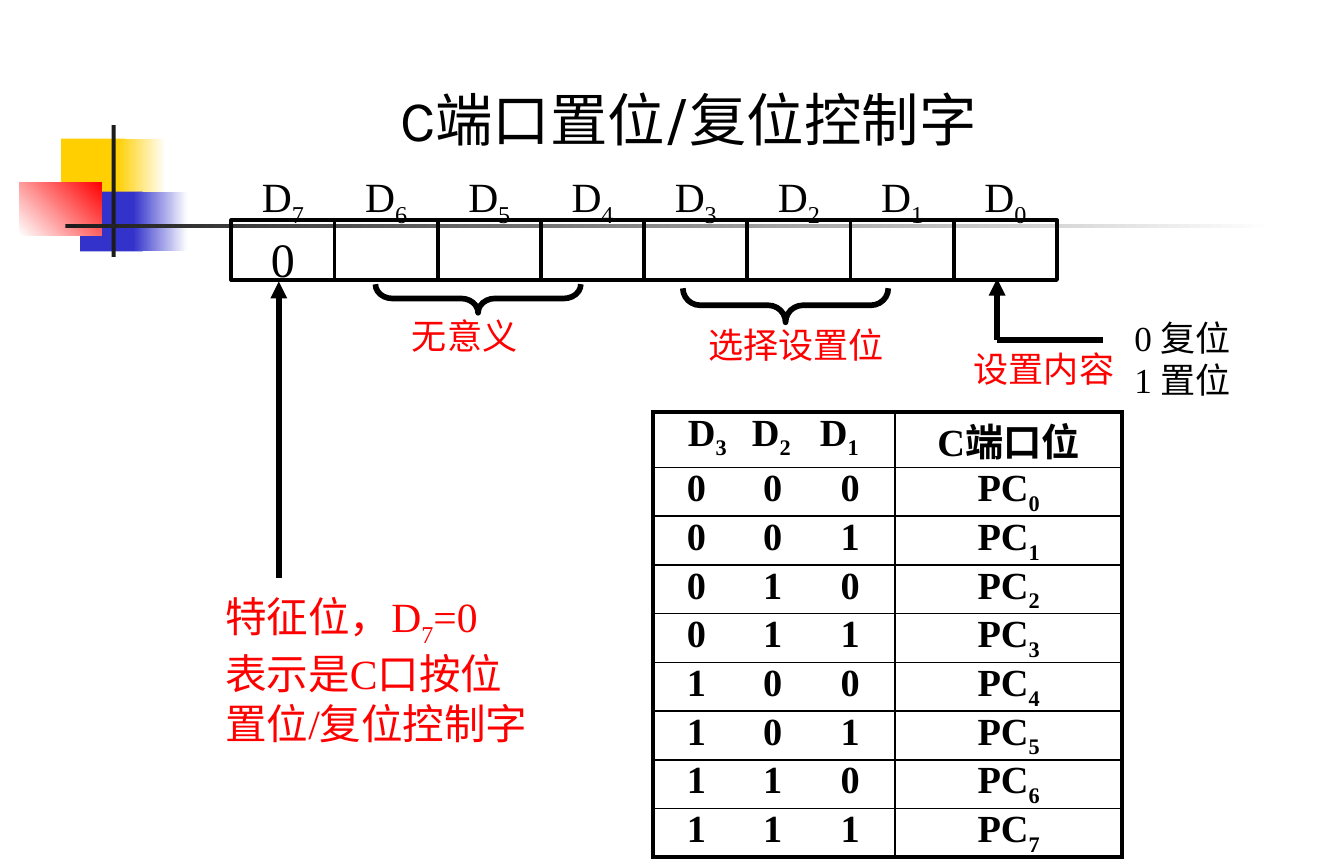
from collections import namedtuple
from dataclasses import dataclass

from lxml.etree import SubElement
from pptx import Presentation
from pptx.dml.color import RGBColor
from pptx.enum.shapes import MSO_CONNECTOR, MSO_SHAPE
from pptx.enum.text import MSO_ANCHOR, MSO_AUTO_SIZE, PP_ALIGN
from pptx.oxml.ns import qn
from pptx.util import Inches, Pt

Box = namedtuple("Box", "left top width height")


@dataclass(frozen=True)
class Theme:
    black: RGBColor = RGBColor.from_string("000000")
    white: RGBColor = RGBColor.from_string("FFFFFF")
    red: RGBColor = RGBColor.from_string("FF0000")
    yellow: RGBColor = RGBColor.from_string("FFCF01")
    blue: RGBColor = RGBColor.from_string("3333CC")
    dark: RGBColor = RGBColor.from_string("1C1C1C")
    heading_font: str = "Karla"
    body_font: str = "Times New Roman"
    title: float = 30.4
    bit_value: float = 25.4
    bit_name: float = 22
    caption: float = 18.6
    table: float = 20.3
    thick: float = 3
    frame: float = 2.25
    bit_frame: float = 2
    grid: float = 1


THEME = Theme()


def set_all(target, values):
    for name, value in values.items():
        setattr(target, name, value)


def place(box):
    return [Inches(length) for length in box]


def write(frame, lines, size, color=THEME.black, align=PP_ALIGN.JUSTIFY,
          font=THEME.body_font, bold=False, spacing=None, tabs=()):
    """Fill a text frame; underscores in a line switch subscript on and off."""
    for index, line in enumerate(lines):
        paragraph = frame.paragraphs[0] if index == 0 else frame.add_paragraph()
        set_all(paragraph, {"alignment": align, "line_spacing": spacing})
        if tabs:
            tab_list = SubElement(paragraph._p.get_or_add_pPr(), qn("a:tabLst"))
            for stop in tabs:
                SubElement(tab_list, qn("a:tab"), pos=str(Inches(stop)), algn="ctr")
        for part, piece in enumerate(line.split("_")):
            if not piece:
                continue
            run = paragraph.add_run()
            run.text = piece
            set_all(run.font, {"name": font, "size": Pt(size), "bold": bold})
            run.font.color.rgb = color
            if part % 2:
                run.font._element.set("baseline", "-25000")


def set_margins(frame, left=0, top=0):
    set_all(frame, {"word_wrap": True, "auto_size": MSO_AUTO_SIZE.NONE,
                    "vertical_anchor": MSO_ANCHOR.TOP,
                    "margin_left": Inches(left), "margin_top": Inches(top),
                    "margin_right": 0, "margin_bottom": 0})


def add_caption(slide, box, lines, size=THEME.caption, color=THEME.red,
                left=0.1, top=0, **style):
    frame = slide.shapes.add_textbox(*place(box)).text_frame
    set_margins(frame, left, top)
    write(frame, lines, size, color, **style)


def add_block(slide, box, start, end=None, angle=0):
    """Add a borderless rectangle, plain or fading from start to end."""
    block = slide.shapes.add_shape(MSO_SHAPE.RECTANGLE, *place(box))
    block.shadow.inherit = False
    block.line.fill.background()
    if end is None:
        block.fill.solid()
        block.fill.fore_color.rgb = start
        return
    block.fill.gradient()
    block.fill.gradient_angle = angle
    for stop, color in zip(block.fill.gradient_stops, (start, end)):
        stop.color.rgb = color


def add_outline(slide, preset, box, width):
    outline = slide.shapes.add_shape(preset, *place(box))
    outline.shadow.inherit = False
    outline.fill.background()
    outline.line.color.rgb = THEME.black
    outline.line.width = Pt(width)
    return outline


def add_rule(slide, start, end, arrow=False):
    rule = slide.shapes.add_connector(MSO_CONNECTOR.STRAIGHT, *place(start + end))
    rule.line.color.rgb = THEME.black
    rule.line.width = Pt(THEME.thick)
    if arrow:
        SubElement(rule.line._get_or_add_ln(), qn("a:tailEnd"), type="triangle")
    SubElement(rule._element.spPr, qn("a:effectLst"))


def add_ornament(slide, box):
    x, y, width, height = box
    add_block(slide, Box(x + 0.31, y + 0.1, 0.47, 0.44), THEME.yellow)
    add_block(slide, Box(x + 0.72, y + 0.1, 0.36, 0.44), THEME.yellow, THEME.white)
    add_block(slide, Box(x + 0.45, y + 0.49, 0.46, 0.44), THEME.blue)
    add_block(slide, Box(x + 0.84, y + 0.49, 0.4, 0.44), THEME.blue, THEME.white)
    add_block(slide, Box(x, y + 0.42, 0.61, 0.39), THEME.white, THEME.red, angle=45)
    add_block(slide, Box(x + 0.68, y, 0.03, height), THEME.dark)
    add_block(slide, Box(x + 0.34, y + 0.73, width - 0.34, 0.03), THEME.dark, THEME.white)


def add_title(slide, box):
    title = slide.shapes.title
    set_all(title, dict(zip(box._fields, place(box))))
    set_all(title.text_frame, {"vertical_anchor": MSO_ANCHOR.MIDDLE, "word_wrap": True,
                               "auto_size": MSO_AUTO_SIZE.NONE})
    write(title.text_frame, ["C端口置位/复位控制字"], THEME.title,
          align=PP_ALIGN.CENTER, font=THEME.heading_font)


def add_control_word(slide, box, bits=8):
    """Draw the bit names over the row of bits, highest bit first."""
    pitch = box.width / bits
    for column in range(bits):
        left = box.left + column * pitch
        bit = add_outline(slide, MSO_SHAPE.RECTANGLE,
                          Box(left, box.top + 0.46, pitch, 0.44), THEME.bit_frame)
        if column == 0:
            set_margins(bit.text_frame, top=0.07)
            write(bit.text_frame, ["0"], THEME.bit_value, align=PP_ALIGN.CENTER)
        add_caption(slide, Box(left, box.top, pitch, 0.54), [f"D_{bits - 1 - column}"],
                    THEME.bit_name, THEME.black, left=0, top=0.1, align=PP_ALIGN.CENTER)


def add_brace(slide, box, bend, caption, caption_box):
    """Draw a brace that opens upwards across the box, with its caption."""
    middle_x, middle_y = box.left + box.width / 2, box.top + box.height / 2
    upright = Box(middle_x - box.height / 2, middle_y - box.width / 2, box.height, box.width)
    brace = add_outline(slide, MSO_SHAPE.LEFT_BRACE, upright, THEME.thick)
    brace.rotation = 270
    brace.adjustments[0] = bend
    add_caption(slide, caption_box, [caption])


def add_setting(slide, box):
    x, y = box.left, box.top
    corner = (x + 0.27, y + 0.45)
    add_rule(slide, corner, (x + 0.27, y), arrow=True)
    add_rule(slide, corner, (x + 1.05, y + 0.45))
    add_caption(slide, Box(x, y + 0.54, 1.27, 0.32), ["设置内容"], spacing=0.9)
    add_caption(slide, Box(x + 1.18, y + 0.28, box.width - 1.18, 0.66),
                ["0 复位", "1 置位"], color=THEME.black)


def add_flag_note(slide, box):
    x, y = box.left, box.top
    add_rule(slide, (x + 0.49, y + 2.18), (x + 0.49, y), arrow=True)
    add_caption(slide, Box(x, y + 2.28, box.width, box.height - 2.28),
                ["特征位，D_7_=0", "表示是C口按位", "置位/复位控制字"], THEME.bit_name)


def set_borders(cell, widths):
    for side, width in widths.items():
        line = SubElement(cell._tc.get_or_add_tcPr(), qn(f"a:ln{side}"), w=str(Pt(width)))
        SubElement(SubElement(line, qn("a:solidFill")), qn("a:srgbClr"), val=str(THEME.black))


def add_port_table(slide, box):
    rows = [("\tD_3_\tD_2_\tD_1", "C端口位")]
    rows += [("".join(f"\t{bit}" for bit in f"{port:03b}"), f"PC_{port}") for port in range(8)]
    table = slide.shapes.add_table(len(rows), 2, *place(box)).table
    set_all(table, {"first_row": False, "horz_banding": False})
    table.columns[0].width = Inches(1.78)
    table.columns[1].width = Inches(box.width - 1.78)
    for r, values in enumerate(rows):
        table.rows[r].height = Inches(box.height / len(rows))
        for c, value in enumerate(values):
            cell = table.cell(r, c)
            set_all(cell, {"margin_left": 0, "margin_right": 0,
                           "margin_top": 0, "margin_bottom": 0})
            outer = {"L": c == 0, "R": c == 1, "T": r == 0, "B": r == len(rows) - 1}
            set_borders(cell, {side: THEME.frame if edge else THEME.grid
                               for side, edge in outer.items()})
            cell.fill.background()
            stops = (0.4, 0.87, 1.37) if r == 0 else (0.32, 0.88, 1.45)
            write(cell.text_frame, [value], THEME.table, bold=True,
                  align=PP_ALIGN.CENTER if c else PP_ALIGN.LEFT, tabs=() if c else stops)


def main():
    deck = Presentation()
    set_all(deck, {"slide_width": Inches(9.88), "slide_height": Inches(6.34)})
    slide = deck.slides.add_slide(deck.slide_layouts[5])
    add_ornament(slide, Box(0.14, 0.92, 9.23, 0.97))
    add_control_word(slide, Box(1.7, 1.16, 6.07, 0.9))
    add_setting(slide, Box(7.06, 2.05, 2.26, 0.94))
    add_flag_note(slide, Box(1.56, 2.07, 2.4, 3.78))
    add_brace(slide, Box(2.76, 2.09, 1.51, 0.21), 0.59, "无意义", Box(2.93, 2.31, 1.27, 0.32))
    add_brace(slide, Box(5.02, 2.12, 1.51, 0.25), 0.51, "选择设置位", Box(5.11, 2.38, 1.67, 0.32))
    add_title(slide, Box(0.85, 0.2, 8.42, 1.35))
    add_port_table(slide, Box(4.8, 3.03, 3.45, 3.04))
    deck.save("out.pptx")


if __name__ == "__main__":
    main()
